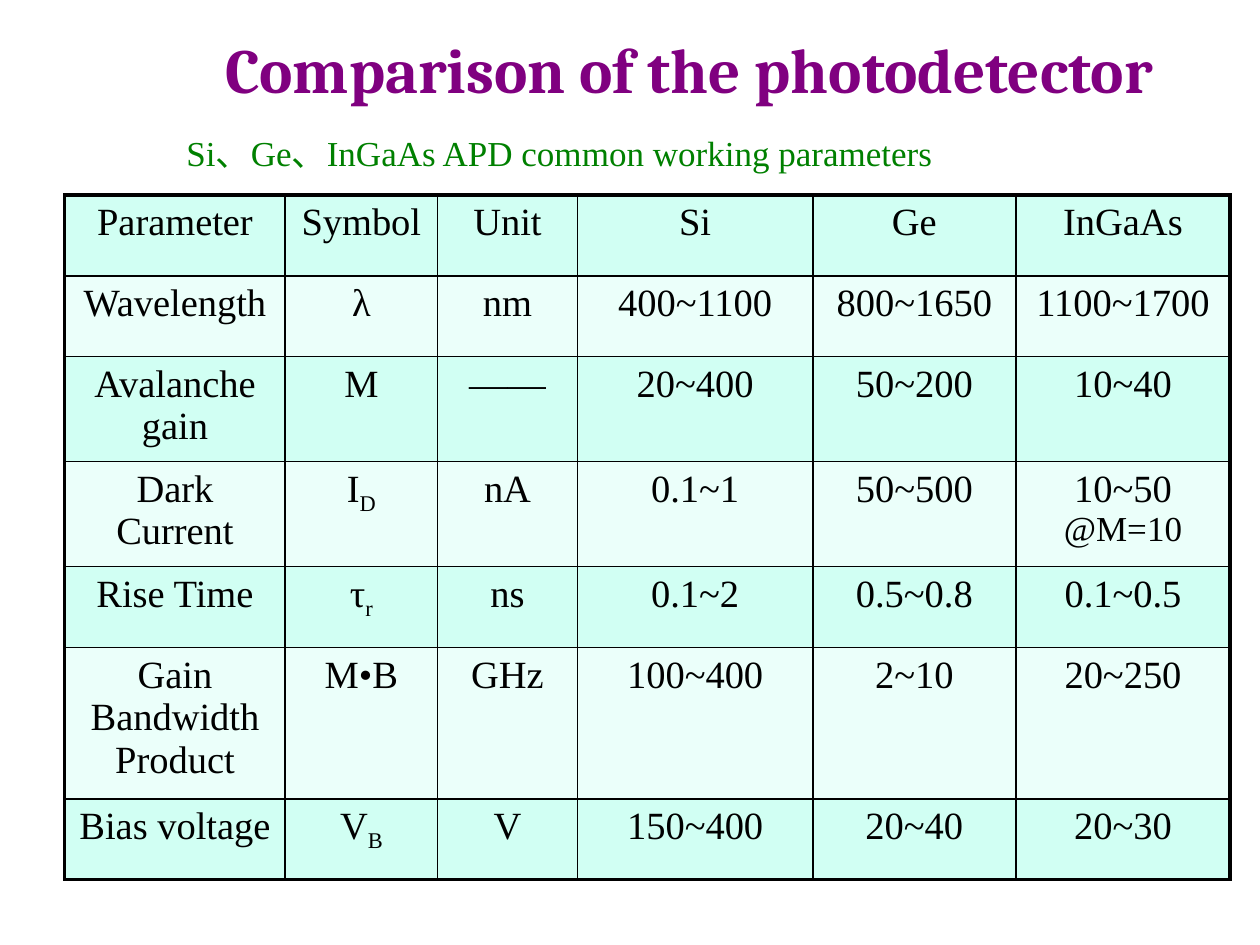
from lxml.etree import SubElement
from pptx import Presentation
from pptx.dml.color import RGBColor
from pptx.enum.text import MSO_ANCHOR as Anchor, PP_ALIGN as Align
from pptx.oxml.ns import qn
from pptx.util import Pt

BODY_FONT = "Times New Roman"
ROW_FILLS = ("D1FFF3", "EBFFFA")
INNER_LINE, OUTER_LINE = 1, 2.25
COLUMN_WIDTHS = (126, 87, 80, 134.5, 116, 122.5)
ROW_HEIGHTS = (46.2, 46.2, 60, 60, 46.2, 86.4, 46.2)

# "_" marks the start of a subscript, "\n" a new paragraph
PARAMETERS = (
    ("Parameter", "Symbol", "Unit", "Si", "Ge", "InGaAs"),
    ("Wavelength", "λ", "nm", "400~1100", "800~1650", "1100~1700"),
    ("Avalanche gain", "M", "——", "20~400", "50~200", "10~40"),
    ("Dark Current", "I_D", "nA", "0.1~1", "50~500", "10~50\n@M=10"),
    ("Rise Time", "τ_r", "ns", "0.1~2", "0.5~0.8", "0.1~0.5"),
    ("Gain Bandwidth Product", "M•B", "GHz", "100~400", "2~10", "20~250"),
    ("Bias voltage", "V_B", "V", "150~400", "20~40", "20~30"),
)


def color(hex_value):
    return RGBColor.from_string(hex_value)


def style_font(font, name, size, hex_value, bold=False):
    font.name = name
    font.size = Pt(size)
    font.bold = bold
    font.color.rgb = color(hex_value)


def add_heading(slide, text, box, align, anchor, **font_style):
    heading = slide.shapes.add_textbox(*map(Pt, box))
    frame = heading.text_frame
    frame.word_wrap = True
    frame.vertical_anchor = anchor
    frame.text = text
    paragraph = frame.paragraphs[0]
    paragraph.alignment = align
    style_font(paragraph.runs[0].font, **font_style)


def set_borders(cell, widths):
    properties = cell._tc.get_or_add_tcPr()
    for side, width in widths.items():
        line = SubElement(properties, qn(f"a:ln{side}"), w=str(Pt(width)))
        fill = SubElement(line, qn("a:solidFill"))
        SubElement(fill, qn("a:srgbClr"), val="000000")


def write_cell(cell, content):
    frame = cell.text_frame
    frame.text = content.replace("_", "")
    for paragraph in frame.paragraphs:
        paragraph.alignment = Align.CENTER
        size = 20 if paragraph.text.startswith("@") else 22
        base, _, subscript = content.partition("_")
        if subscript:
            paragraph.runs[0].text = base
            lowered = paragraph.add_run()
            lowered.text = subscript
            lowered._r.get_or_add_rPr().set("baseline", "-25000")
        for run in paragraph.runs:
            style_font(run.font, BODY_FONT, size, "000000")


def add_parameter_table(slide, left, top):
    row_count, column_count = len(ROW_HEIGHTS), len(COLUMN_WIDTHS)
    table = slide.shapes.add_table(
        row_count, column_count, Pt(left), Pt(top),
        Pt(sum(COLUMN_WIDTHS)), Pt(sum(ROW_HEIGHTS))).table
    table.first_row = table.horz_banding = False
    for column, width in zip(table.columns, COLUMN_WIDTHS):
        column.width = Pt(width)

    for r, (row, height) in enumerate(zip(table.rows, ROW_HEIGHTS)):
        row.height = Pt(height)
        for c, cell in enumerate(row.cells):
            on_edge = {"L": c == 0, "R": c == column_count - 1,
                       "T": r == 0, "B": r == row_count - 1}
            set_borders(cell, {side: OUTER_LINE if edge else INNER_LINE
                               for side, edge in on_edge.items()})
            cell.fill.solid()
            cell.fill.fore_color.rgb = color(ROW_FILLS[r % 2])
            write_cell(cell, PARAMETERS[r][c])


def main():
    presentation = Presentation()
    presentation.slide_width, presentation.slide_height = Pt(720), Pt(540)
    slide = presentation.slides.add_slide(presentation.slide_layouts[6])

    # Title and subtitle
    add_heading(slide, "Comparison of the photodetector",
                (110, 6, 567.5, 65.5), Align.CENTER, Anchor.MIDDLE,
                name="Cambria", size=36, hex_value="800080", bold=True)
    add_heading(slide, "Si、Ge、InGaAs APD common working parameters",
                (99.5, 71.5, 476, 31), Align.LEFT, Anchor.TOP,
                name=BODY_FONT, size=20, hex_value="008000")

    # Detector parameters by material
    add_parameter_table(slide, 37, 111.5)

    presentation.save("out.pptx")


if __name__ == "__main__":
    main()
